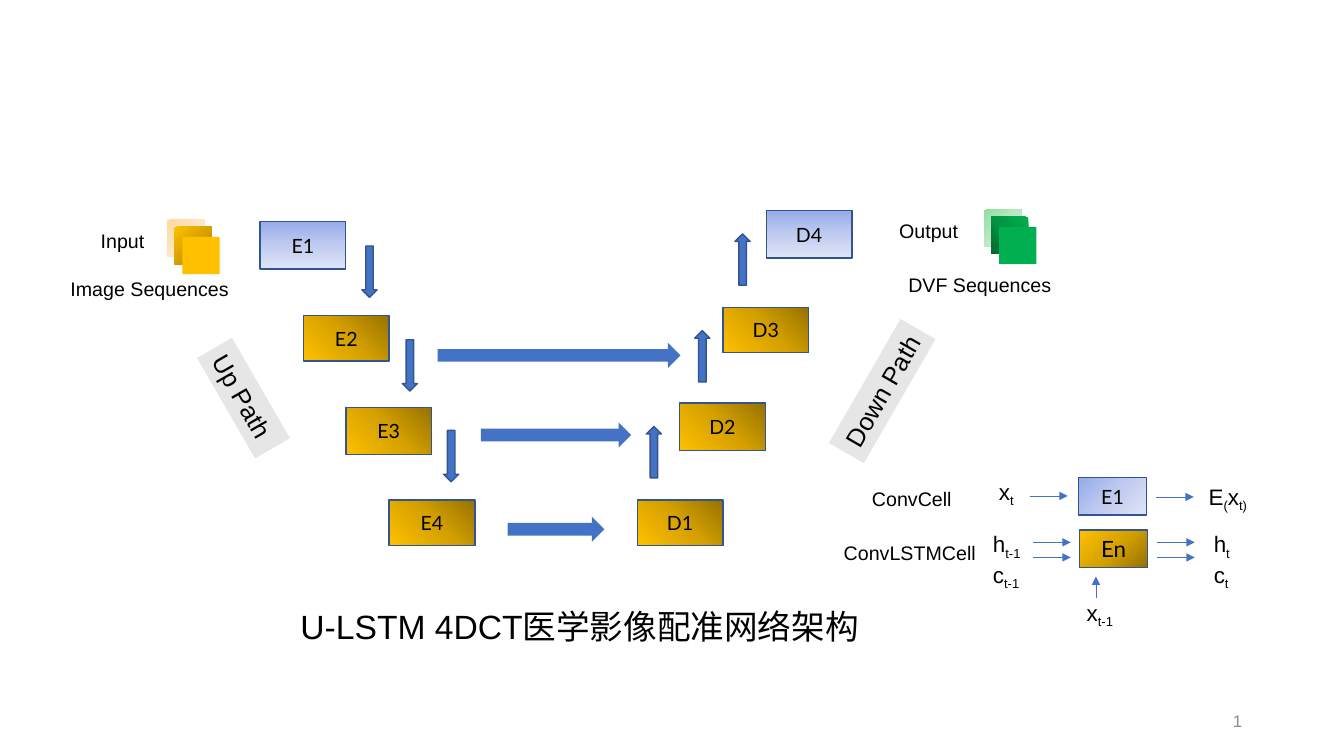
"""Build the U-LSTM 4DCT registration network slide."""
from lxml.etree import SubElement
from pptx import Presentation
from pptx.dml.color import RGBColor
from pptx.enum.shapes import MSO_CONNECTOR, MSO_SHAPE
from pptx.enum.text import MSO_ANCHOR, MSO_AUTO_SIZE, PP_ALIGN
from pptx.oxml import parse_xml
from pptx.oxml.ns import nsdecls, qn
from pptx.util import Inches, Pt

COLORS = {
    "text": "000000", "number": "8C8C8C", "blue": "4472C4", "outline": "325491",
    "label": "E7E6E6", "amber": "FFC000", "green": "00B050",
}
GRADIENTS = {
    "gold": ("977200", "D7A200", "FFC000"),
    "dark green": ("00682F", "009443", "00B050"),
    "periwinkle": ("96ABEA", "C0CBF0", "E0E5F7"),
    "peach": ("FFD8A0", "FFE6C5", "FFF2E3"),
    "mint": ("91DEA0", "BDE8C5", "DFF3E3"),
}
CORNERS = {"bottom right": 'l="100000" t="100000"', "top right": 'l="100000" b="100000"',
           "bottom left": 'r="100000" t="100000"'}


def add_text(tf, lines, size, font="Arial", color="text", align=PP_ALIGN.LEFT, anchor=MSO_ANCHOR.TOP):
    tf.word_wrap = True
    tf.auto_size = MSO_AUTO_SIZE.NONE
    tf.vertical_anchor = anchor
    for i, line in enumerate(lines):
        p = tf.add_paragraph() if i else tf.paragraphs[0]
        p.alignment = align
        for part in line:
            r = p.add_run()
            r.text = part.lstrip("_")
            r.font.size = Pt(size)
            r.font.name = font
            r.font.color.rgb = RGBColor.from_string(COLORS[color])
            if part.startswith("_"):
                r.font.element.set("baseline", "-25000") if hasattr(r.font, "element") else \
                    r._r.get_or_add_rPr().set("baseline", "-25000")


def add_block(kind, at, fill, direction=None, outlined=False, rotation=0):
    s = slide.shapes.add_shape(kind, *map(Inches, at))
    s.shadow.inherit = False
    s.rotation = rotation
    if fill in GRADIENTS:
        s.fill.background()
        stops = "".join(f'<a:gs pos="{i * 50000}"><a:srgbClr val="{c}"/></a:gs>'
                        for i, c in enumerate(GRADIENTS[fill]))
        shade = (f'<a:path path="circle"><a:fillToRect {CORNERS[direction]}/></a:path>'
                 if direction in CORNERS else f'<a:lin ang="{direction * 60000}" scaled="0"/>')
        spPr = s.element.spPr
        spPr.replace(spPr.find(qn("a:noFill")), parse_xml(
            f'<a:gradFill {nsdecls("a")} rotWithShape="1"><a:gsLst>{stops}</a:gsLst>{shade}</a:gradFill>'))
    else:
        s.fill.solid()
        s.fill.fore_color.rgb = RGBColor.from_string(COLORS[fill])
    if outlined:
        s.line.color.rgb = RGBColor.from_string(COLORS["outline"])
        s.line.width = Pt(1)
    else:
        s.line.fill.background()
    return s


prs = Presentation()
prs.slide_width, prs.slide_height = Inches(13.33), Inches(7.5)
slide = prs.slides.add_slide(prs.slide_layouts[5])

title = slide.shapes.title
title.left, title.top, title.width, title.height = map(Inches, (2.88, 5.96, 5.74, 0.9))
add_text(title.text_frame, [["U-LSTM 4DCT医学影像配准网络架构"]], 24)

for x, y, back, middle, front, corner in [
    (1.66, 2.18, "peach", "gold", "amber", "bottom right"),
    (9.76, 2.08, "mint", "dark green", "green", "bottom left"),
]:
    for dx, dy, fill, direction in [(0, 0, back, 45), (0.07, 0.07, middle, corner), (0.15, 0.17, front, None)]:
        add_block(MSO_SHAPE.RECTANGLE, (x + dx, y + dy, 0.37, 0.37), fill, direction)

for name, x, y, w, h, fill, direction, size in [
    ("E1", 2.58, 2.2, 0.85, 0.47, "periwinkle", 90, 14),
    ("E2", 3.01, 3.13, 0.85, 0.45, "gold", 135, 14),
    ("E3", 3.43, 4.04, 0.85, 0.47, "gold", 135, 14),
    ("E4", 3.86, 4.96, 0.85, 0.45, "gold", 135, 14),
    ("D1", 6.32, 4.96, 0.85, 0.45, "gold", 135, 14),
    ("D2", 6.74, 4, 0.85, 0.47, "gold", 135, 14),
    ("D3", 7.17, 3.05, 0.85, 0.45, "gold", 135, 14),
    ("D4", 7.6, 2.09, 0.85, 0.47, "periwinkle", 90, 14),
    ("E1", 10.7, 4.74, 0.67, 0.37, "periwinkle", 45, 14),
    ("En", 10.71, 5.26, 0.67, 0.37, "gold", "bottom right", 16),
]:
    s = add_block(MSO_SHAPE.RECTANGLE, (x, y, w, h), fill, direction, outlined=True)
    add_text(s.text_frame, [[name]], size, "Lato", align=PP_ALIGN.CENTER, anchor=MSO_ANCHOR.MIDDLE)

for x, y, rotation in [(3.59, 2.44, 0), (3.99, 3.37, 0), (4.4, 4.27, 0),
                       (6.41, 4.23, 180), (6.89, 3.28, 180), (7.29, 2.32, 180)]:
    add_block(MSO_SHAPE.DOWN_ARROW, (x, y, 0.15, 0.51), "blue", outlined=True, rotation=rotation)

for x, y, length in [(5.42, 2.32, 2.41), (5.39, 3.57, 1.49), (5.39, 4.77, 0.96)]:
    add_block(MSO_SHAPE.DOWN_ARROW, (x, y, 0.25, length), "blue", rotation=270)

for name, x, y, w, rotation in [("Up Path", 1.84, 3.75, 1.15, 60), ("Down Path", 8.04, 3.68, 1.42, 300)]:
    s = add_block(MSO_SHAPE.RECTANGLE, (x, y, w, 0.4), "label", rotation=rotation)
    add_text(s.text_frame, [[name]], 18)

for x1, y1, x2, y2 in [
    (10.22, 4.92, 10.59, 4.92), (11.47, 4.93, 11.84, 4.93),
    (10.25, 5.38, 10.62, 5.38), (10.25, 5.53, 10.62, 5.53),
    (11.48, 5.38, 11.85, 5.38), (11.48, 5.53, 11.85, 5.53),
    (10.87, 5.93, 10.87, 5.72),
]:
    line = slide.shapes.add_connector(MSO_CONNECTOR.STRAIGHT, *map(Inches, (x1, y1, x2, y2)))
    line.line.color.rgb = RGBColor.from_string(COLORS["blue"])
    line.line.width = Pt(0.5)
    spPr = line.element.spPr
    SubElement(spPr.find(qn("a:ln")), qn("a:tailEnd"), type="triangle")
    SubElement(spPr, qn("a:effectLst"))

for x, y, w, h, size, lines in [
    (0.9, 2.22, 0.82, 0.34, 14, [["Input"]]),
    (0.6, 2.7, 2.01, 0.34, 14, [["Image Sequences"]]),
    (8.82, 2.12, 1.01, 0.34, 14, [["Output"]]),
    (8.91, 2.66, 2.01, 0.34, 14, [["DVF Sequences"]]),
    (8.55, 4.78, 1.33, 0.34, 14, [["ConvCell"]]),
    (8.27, 5.32, 2.04, 0.34, 14, [["ConvLSTMCell"]]),
    (9.81, 4.69, 0.37, 0.37, 16, [["x", "_t"]]),
    (11.89, 4.74, 0.67, 0.37, 16, [["E", "_(", "x", "_t)"]]),
    (9.75, 5.21, 0.56, 0.64, 16, [["h", "_t-1"], ["c", "_t-1"]]),
    (11.94, 5.21, 0.56, 0.64, 16, [["h", "_t"], ["c", "_t"]]),
    (10.68, 5.89, 0.56, 0.37, 16, [["x", "_t-1"]]),
]:
    s = slide.shapes.add_textbox(*map(Inches, (x, y, w, h)))
    add_text(s.text_frame, lines, size)

number = slide.shapes.add_textbox(*map(Inches, (9.42, 6.95, 3, 0.4)))
add_text(number.text_frame, [["1"]], 12, color="number", align=PP_ALIGN.RIGHT, anchor=MSO_ANCHOR.MIDDLE)

prs.save("out.pptx")
